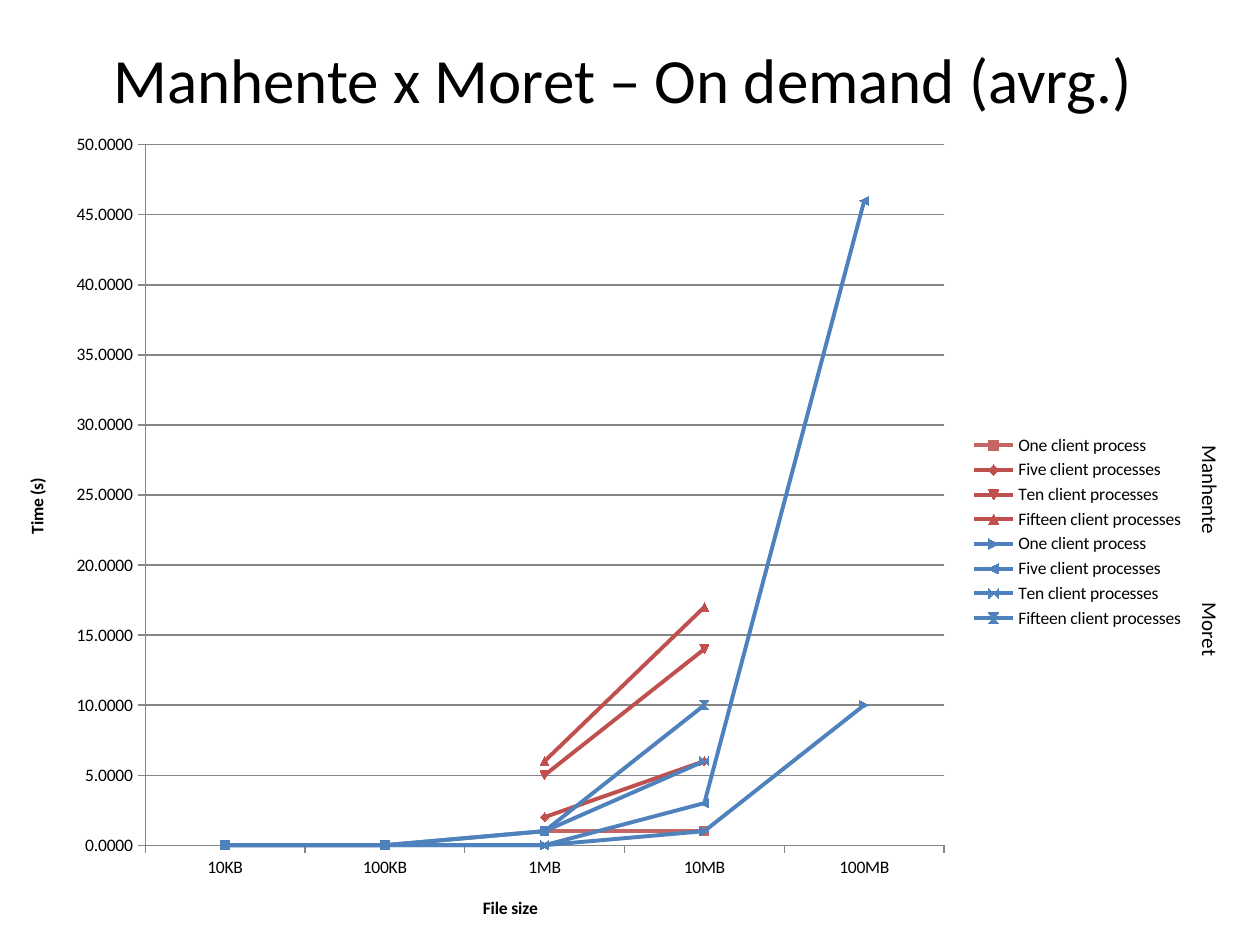
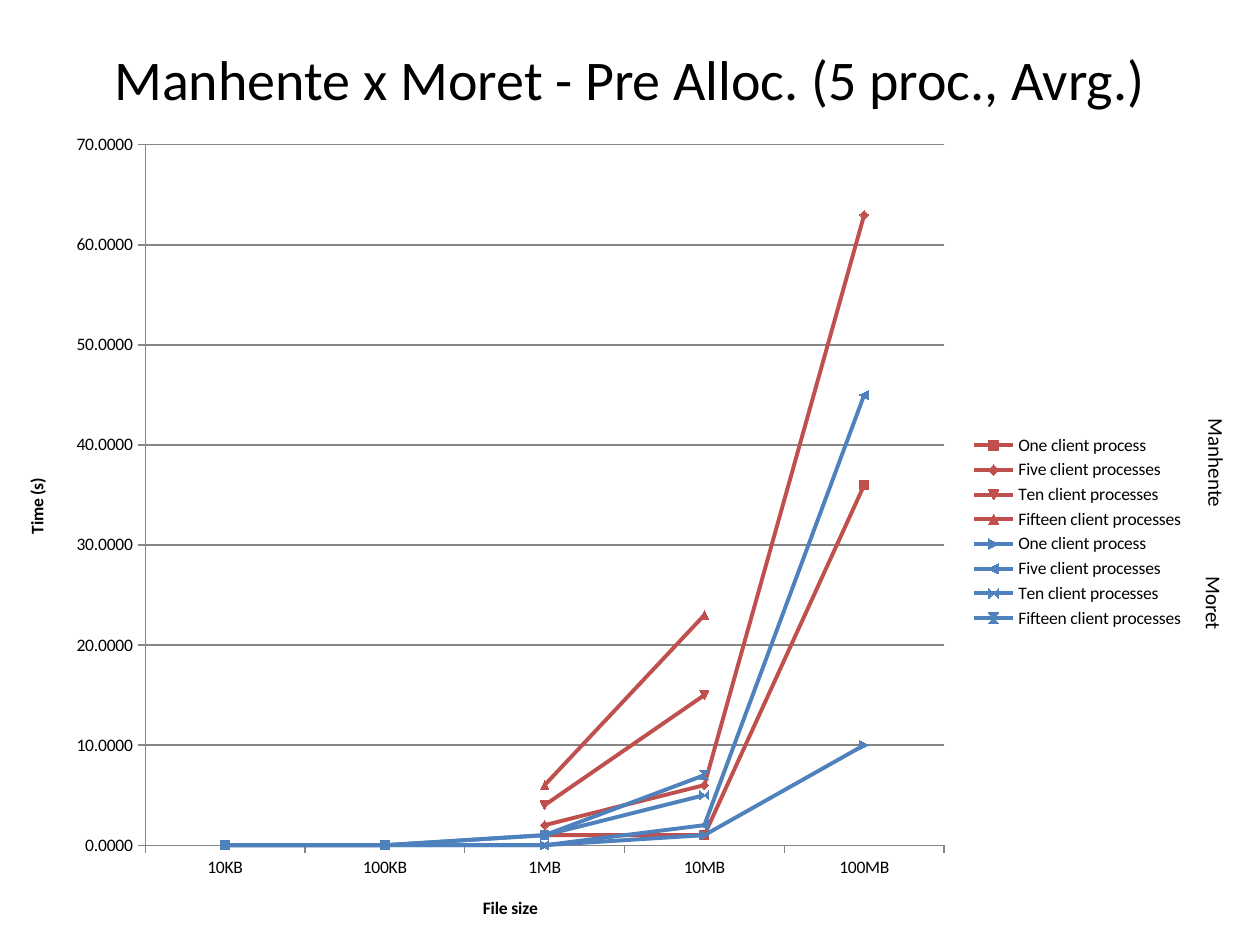
from dataclasses import dataclass

from pptx import Presentation
from pptx.chart.data import CategoryChartData
from pptx.dml.color import RGBColor
from pptx.enum.chart import XL_CHART_TYPE, XL_LEGEND_POSITION, XL_MARKER_STYLE, XL_TICK_MARK
from pptx.enum.text import MSO_ANCHOR, MSO_AUTO_SIZE, PP_ALIGN
from pptx.util import Pt

PX = 9144  # 100 px to the inch


@dataclass(frozen=True)
class Theme:
    font: str = "Calibri"
    text: RGBColor = RGBColor(0x00, 0x00, 0x00)
    axis: RGBColor = RGBColor(0x86, 0x86, 0x86)
    manhente: RGBColor = RGBColor(0xC0, 0x50, 0x4D)
    manhente_pale: RGBColor = RGBColor(0xC4, 0x66, 0x64)
    moret: RGBColor = RGBColor(0x4F, 0x81, 0xBD)
    label_size: int = 12
    chart_size: int = 10
    series_width: float = 2.25
    axis_width: float = 0.75
    marker_size: int = 5


THEME = Theme()
FILE_SIZES = ["10KB", "100KB", "1MB", "10MB", "100MB"]
CLIENTS = ["One client process", "Five client processes",
           "Ten client processes", "Fifteen client processes"]

# Each row of times is one client count, across FILE_SIZES.
COMPARISONS = [
    {
        "title": "Manhente x Moret – On demand (avrg.) ",
        "title_size": 36,
        "first_color": THEME.manhente_pale,
        "scale": {"minimum_scale": 0, "maximum_scale": 50, "major_unit": 5},
        "labels": [("Manhente", 915, 374, 91), ("Moret", 929, 485, 63)],
        "manhente": [
            (None, None, 1, 1, None),
            (None, None, 2, 6, None),
            (None, None, 5, 14, None),
            (None, None, 6, 17, None),
        ],
        "moret": [
            (0, 0, 0, 1, 10),
            (0, 0, 0, 3, 46),
            (0, 0, 1, 6, None),
            (0, 0, 1, 10, None),
        ],
    },
    {
        "title": "Manhente x Moret - Pre Alloc. (5 proc., Avrg.)",
        "title_size": 32,
        "first_color": THEME.manhente,
        "scale": {"minimum_scale": 0, "maximum_scale": 70, "major_unit": 10},
        "labels": [("Manhente", 920, 353, 91), ("Moret", 932, 464, 63)],
        "manhente": [
            (None, None, 1, 1, 36),
            (None, None, 2, 6, 63),
            (None, None, 4, 15, None),
            (None, None, 6, 23, None),
        ],
        "moret": [
            (0, 0, 0, 1, 10),
            (0, 0, 0, 2, 45),
            (0, 0, 1, 5, None),
            (0, 0, 1, 7, None),
        ],
    },
]


def style_font(font, size, bold=False):
    for key, value in {"name": THEME.font, "size": Pt(size), "bold": bold}.items():
        setattr(font, key, value)
    font.color.rgb = THEME.text


def add_text(slide, text, size, box, frame_format):
    """Add a one-line text box at box (px) and return its shape."""
    holder = slide.shapes.add_textbox(*(side * PX for side in box))
    for key, value in frame_format.items():
        setattr(holder.text_frame, key, value)
    run = holder.text_frame.paragraphs[0].add_run()
    run.text = text
    style_font(run.font, size)
    return holder


deck = Presentation()
deck.slide_width, deck.slide_height = 1000 * PX, 750 * PX

for comparison in COMPARISONS:
    slide = deck.slides.add_slide(deck.slide_layouts[6])

    title = add_text(slide, comparison["title"], comparison["title_size"], (50, 30, 900, 64),
                     {"word_wrap": True, "vertical_anchor": MSO_ANCHOR.MIDDLE})
    title.text_frame.paragraphs[0].alignment = PP_ALIGN.CENTER

    timings = CategoryChartData(number_format="0.0000")
    timings.categories = FILE_SIZES
    for author in ("manhente", "moret"):
        for clients, times in zip(CLIENTS, comparison[author]):
            timings.add_series(clients, times)
    chart = slide.shapes.add_chart(XL_CHART_TYPE.LINE_MARKERS, 0, 94 * PX,
                                   950 * PX, 656 * PX, timings).chart
    style_font(chart.font, THEME.chart_size)
    chart.has_title = False
    chart.has_legend = True
    chart.legend.position = XL_LEGEND_POSITION.RIGHT
    chart.legend.include_in_layout = False

    # Axes
    size_axis, time_axis = chart.category_axis, chart.value_axis
    for axis, caption in ((size_axis, "File size"), (time_axis, "Time (s)")):
        axis.major_tick_mark = XL_TICK_MARK.OUTSIDE
        axis.format.line.color.rgb = THEME.axis
        axis.format.line.width = Pt(THEME.axis_width)
        axis.axis_title.text_frame.text = caption
        caption_run = axis.axis_title.text_frame.paragraphs[0].runs[0]
        style_font(caption_run.font, THEME.chart_size, bold=True)
    for key, value in comparison["scale"].items():
        setattr(time_axis, key, value)
    time_axis.tick_labels.number_format = "0.0000"
    time_axis.tick_labels.number_format_is_linked = False
    time_axis.has_major_gridlines = True
    time_axis.major_gridlines.format.line.color.rgb = THEME.axis
    time_axis.major_gridlines.format.line.width = Pt(THEME.axis_width)

    # Manhente's lines are drawn first, but Moret's lead in the series order
    plot = chart.plots[0]
    plot.vary_by_categories = False
    colors = [comparison["first_color"]] + [THEME.manhente] * 3 + [THEME.moret] * 4
    for position, (series, color) in enumerate(zip(list(plot.series), colors)):
        series._element.order.val = (position + len(CLIENTS)) % len(colors)
        series.smooth = False
        series.format.line.color.rgb = color
        series.format.line.width = Pt(THEME.series_width)
        series.marker.style = XL_MARKER_STYLE.AUTOMATIC
        series.marker.size = THEME.marker_size
        series.marker.format.fill.solid()
        series.marker.format.fill.fore_color.rgb = color
        series.marker.format.line.color.rgb = color

    # Author names beside the legend
    for author, left, top, width in comparison["labels"]:
        label = add_text(slide, author, THEME.label_size, (left, top, width, 30),
                         {"word_wrap": False, "auto_size": MSO_AUTO_SIZE.SHAPE_TO_FIT_TEXT})
        label.rotation = 90

deck.save("out.pptx")
